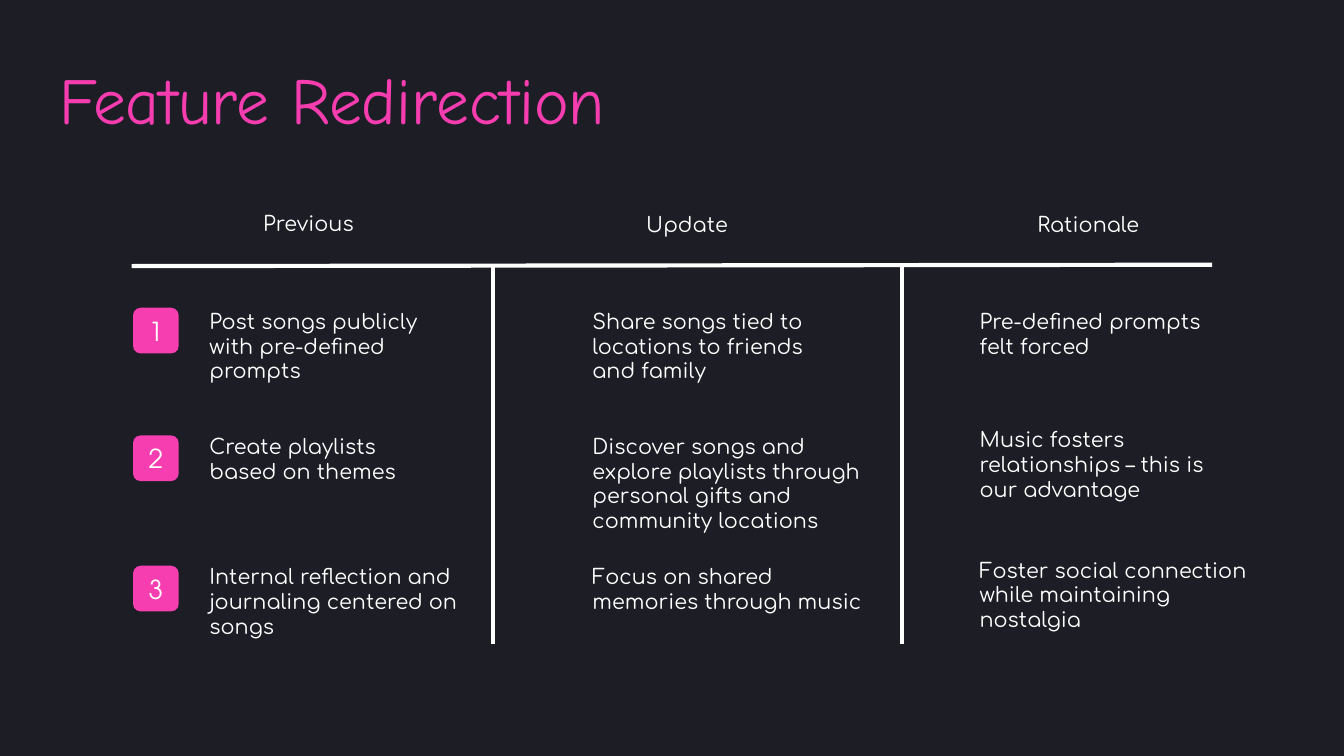
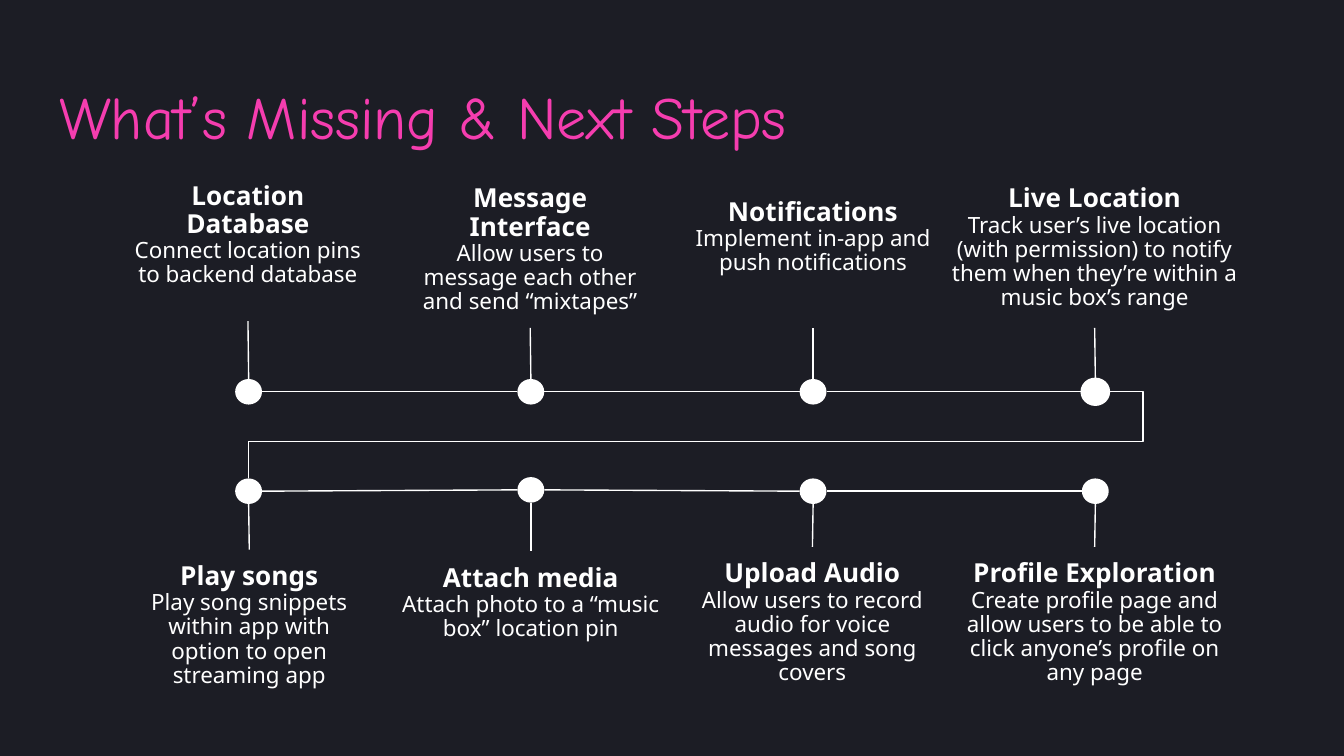
from dataclasses import dataclass

from lxml import etree
from pptx import Presentation
from pptx import util as u
from pptx.dml.color import RGBColor
from pptx.enum import shapes, text
from pptx.oxml import ns

# Grid: square cells, 100 columns by 56.25 rows
CELL = u.Inches(0.1)
COLS, ROWS = 100, 56.25

# Shared style
BACK, PINK, BADGE, WHITE = "1C1D25", "F53DAF", "F63EB0", "FFFFFF"
TITLE_FONT, TABLE_FONT = "Comic Neue", "Comfortaa"
BADGE_FONT, STEP_FONT = "TeX Gyre Adventor", "Noto Sans"
INSET = 1


@dataclass(frozen=True)
class Box:
    col: float
    row: float
    cols: float
    rows: float

    def emu(self) -> tuple:
        return tuple(g(v) for v in (self.col, self.row, self.cols, self.rows))


@dataclass(frozen=True)
class Cell:
    words: str
    box: Box


@dataclass(frozen=True)
class Step:
    head: str
    body: str
    box: Box
    dot_row: float


def g(cells: float) -> int:
    return u.Emu(round(cells * CELL))


def paint(fmt, color: str) -> None:
    """Colour a fill, or a font or line through its fill."""
    fmt.solid()
    fmt.fore_color.rgb = RGBColor.from_string(color)


def set_font(p, name: str, size: float, color: str = WHITE, bold: bool = False) -> None:
    p.font.name, p.font.size, p.font.bold = name, u.Pt(size), bold
    paint(p.font.fill, color)


def set_frame(tf, anchor=text.MSO_ANCHOR.TOP) -> None:
    tf.word_wrap = True
    tf.auto_size = text.MSO_AUTO_SIZE.NONE
    tf.vertical_anchor = anchor
    tf.margin_left = tf.margin_right = tf.margin_top = tf.margin_bottom = g(INSET)


def add_slide(prs, title: str, size: float, box: Box):
    s = prs.slides.add_slide(prs.slide_layouts.get_by_name("Title Only"))
    sp = s.shapes.title
    sp.left, sp.top, sp.width, sp.height = box.emu()
    set_frame(sp.text_frame)
    p = sp.text_frame.paragraphs[0]
    p.text, p.alignment = title, text.PP_ALIGN.LEFT
    set_font(p, TITLE_FONT, size, PINK)
    return s


def add_text(s, box: Box):
    sp = s.shapes.add_textbox(*box.emu())
    set_frame(sp.text_frame)
    return sp


def add_solid(s, kind, box: Box, color: str):
    sp = s.shapes.add_shape(kind, *box.emu())
    sp.shadow.inherit = False
    paint(sp.fill, color)
    sp.line.fill.background()
    return sp


def add_line(s, start: tuple, end: tuple, width: float = 0.75,
             kind=shapes.MSO_CONNECTOR.STRAIGHT):
    cx = s.shapes.add_connector(kind, *(g(v) for v in start + end))
    paint(cx.line.fill, WHITE)
    cx.line.width = u.Pt(width)
    etree.SubElement(cx._element.spPr, ns.qn("a:effectLst"))
    return cx


# Slide 1: comparison of features
HEADINGS = [
    Cell("Previous", Box(18.6, 14.7, 10.5, 3.8)),
    Cell("Update", Box(47.1, 14.8, 8.8, 3.8)),
    Cell("Rationale", Box(76.2, 14.8, 10, 3.8)),
]
BADGE_ROWS = (22.9, 32.4, 42.1)
BADGE_SIZE = 3.4
TEXT_HEIGHT = 6.6
# Left edge, row tops, and (text, width) for each column
COLUMNS = [
    (14.6, (22, 31.3, 41), (
        ("Post songs publicly with pre-defined prompts", 20.1),
        ("Create playlists based on themes", 18.6),
        ("Internal reflection and journaling centered on songs", 22))),
    (43.1, (22, 31.3, 41), (
        ("Share songs tied to locations to friends and family", 18.6),
        ("Discover songs and explore playlists through personal gifts "
         "and community locations", 22),
        ("Focus on shared memories through music", 22))),
    (71.9, (22, 30.8, 40.5), (
        ("Pre-defined prompts felt forced", 20.1),
        ("Music fosters relationships – this is our advantage", 20.1),
        ("Foster social connection while maintaining nostalgia", 22))),
]
DIVIDERS = (36.7, 67.1)


def feature_slide(prs) -> None:
    s = add_slide(prs, "Feature Redirection", 35.1, Box(3.4, 3.4, 55.7, 7.7))
    cells = HEADINGS + [
        Cell(words, Box(left, top, width, TEXT_HEIGHT))
        for left, tops, entries in COLUMNS
        for top, (words, width) in zip(tops, entries)
    ]
    for cell in cells:
        p = add_text(s, cell.box).text_frame.paragraphs[0]
        p.text, p.line_spacing = cell.words, u.Pt(13.2)
        set_font(p, TABLE_FONT, 11.1)

    # Number badges
    for number, row in enumerate(BADGE_ROWS, 1):
        sp = add_solid(s, shapes.MSO_SHAPE.ROUNDED_RECTANGLE,
                       Box(9.9, row, BADGE_SIZE, BADGE_SIZE), BADGE)
        set_frame(sp.text_frame, text.MSO_ANCHOR.MIDDLE)
        p = sp.text_frame.paragraphs[0]
        p.text, p.alignment = str(number), text.PP_ALIGN.CENTER
        set_font(p, BADGE_FONT, 14)

    # Rules
    add_line(s, (9.8, 19.8), (90.2, 19.7), 2.25)
    for col in DIVIDERS:
        add_line(s, (col, 47.9), (col, 19.7), 2.25)


# Slide 2: timeline of next steps
DOT_W, DOT_H = 2, 1.9
FIRST_DOT, DOT_PITCH = 17.5, 21
UPPER, LOWER = 28.2, 35.6
UPPER_STEPS = [
    Step("Location Database", "Connect location pins to backend database",
         Box(8.8, 12.6, 19.3, 11.3), UPPER),
    Step("Message Interface", "Allow users to message each other and send “mixtapes”",
         Box(29.8, 12.8, 19.3, 11.6), UPPER),
    Step("Notifications", "Implement in-app and push notifications",
         Box(49.3, 13.8, 22.4, 10.6), UPPER),
    Step("Live Location", "Track user’s live location (with permission) to notify "
         "them when they’re within a music box’s range",
         Box(69.3, 12.8, 24.3, 11.6), UPPER),
]
LOWER_STEPS = [
    Step("Play songs", "Play song snippets within app with option to open "
         "streaming app", Box(8.9, 40.9, 19.3, 14.7), LOWER),
    Step("Attach media", "Attach photo to a “music box” location pin",
         Box(28.3, 41, 22.4, 9), LOWER - 0.1),
    Step("Upload Audio", "Allow users to record audio for voice messages and "
         "song covers", Box(50.8, 40.7, 19.3, 9), LOWER),
    Step("Profile Exploration", "Create profile page and allow users to be able "
         "to click anyone’s profile on any page", Box(70.5, 40.7, 21.9, 9), LOWER),
]


def add_step(s, step: Step, col: float, above: bool):
    """Draw a text block, its dot and the stem between them."""
    sp = add_text(s, step.box)
    tf = sp.text_frame
    for p, words, size, bold in ((tf.paragraphs[0], step.head, 14, True),
                                 (tf.add_paragraph(), step.body, 12, False)):
        p.text, p.alignment, p.line_spacing = words, text.PP_ALIGN.CENTER, 0.9
        set_font(p, STEP_FONT, size, bold=bold)
    dot = add_solid(s, shapes.MSO_SHAPE.OVAL,
                    Box(col, step.dot_row, DOT_W, DOT_H), WHITE)
    middle = col + DOT_W / 2
    edge = step.dot_row if above else step.dot_row + DOT_H
    stem_end = step.box.row + step.box.rows if above else step.box.row
    stem = add_line(s, (middle, edge), (middle, stem_end))
    stem.end_connect(sp, 2 if above else 0)
    return dot


def add_turn(s) -> None:
    """Lead the line from the last upper dot round to the first lower one."""
    last = FIRST_DOT + 3 * DOT_PITCH + DOT_W
    cx = add_line(s, (last, UPPER + DOT_H / 2), (FIRST_DOT + DOT_W / 2, LOWER),
                  kind=shapes.MSO_CONNECTOR.ELBOW)
    geom = cx._element.spPr.find(ns.qn("a:prstGeom"))
    geom.set("prst", "bentConnector4")
    guides = geom.find(ns.qn("a:avLst"))
    if guides is None:
        guides = etree.SubElement(geom, ns.qn("a:avLst"))
    for name, value in (("adj1", -4000), ("adj2", 57600)):
        etree.SubElement(guides, ns.qn("a:gd"), name=name, fmla=f"val {value}")


def steps_slide(prs) -> None:
    s = add_slide(prs, "What’s Missing & Next Steps", 32.1, Box(3.4, 4.9, 93.2, 7.7))
    for steps, above in ((UPPER_STEPS, True), (LOWER_STEPS, False)):
        cols = [FIRST_DOT + i * DOT_PITCH for i in range(len(steps))]
        dots = [add_step(s, step, col, above) for step, col in zip(steps, cols)]
        for i in range(len(steps) - 1):
            add_line(s, (cols[i] + DOT_W, steps[i].dot_row + DOT_H / 2),
                     (cols[i + 1], steps[i + 1].dot_row + DOT_H / 2))
        if above:
            # The turning point is outlined
            paint(dots[-1].line.fill, WHITE)
            dots[-1].line.width = u.Pt(1.5)
    add_turn(s)


def main() -> None:
    prs = Presentation()
    prs.slide_width, prs.slide_height = g(COLS), g(ROWS)
    paint(prs.slide_master.background.fill, BACK)
    feature_slide(prs)
    steps_slide(prs)
    prs.save("out.pptx")


if __name__ == "__main__":
    main()
